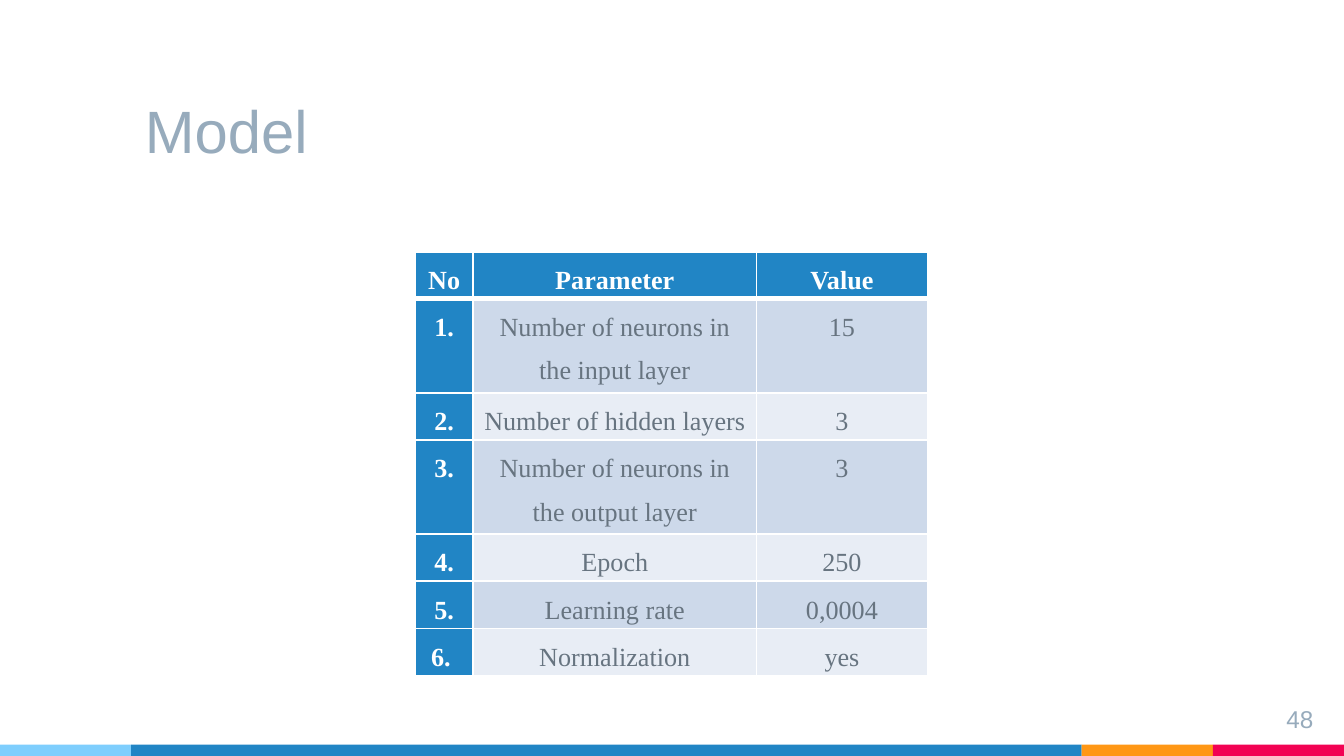
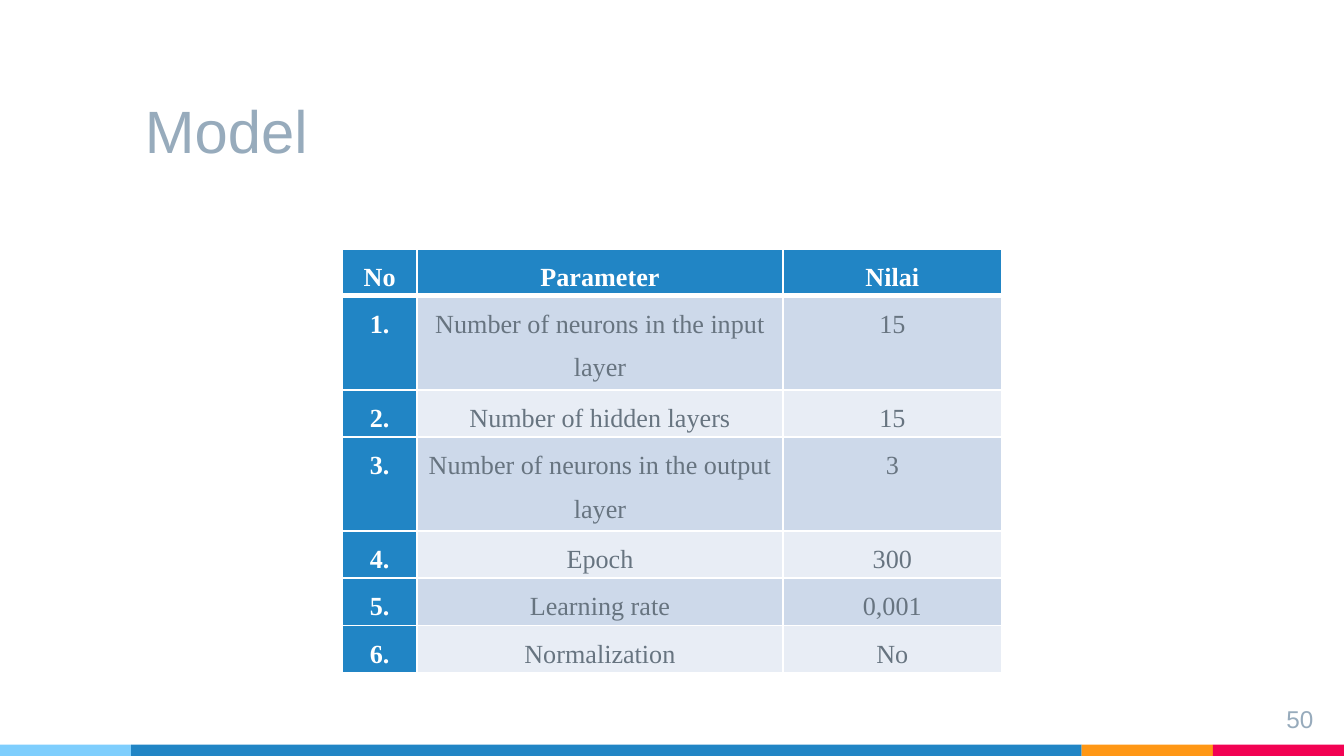
from dataclasses import dataclass

from lxml import etree
from pptx import Presentation
from pptx.dml.color import RGBColor
from pptx.enum.shapes import MSO_SHAPE
from pptx.enum.text import MSO_ANCHOR, PP_ALIGN
from pptx.oxml.ns import qn
from pptx.slide import Slide
from pptx.table import _Cell
from pptx.text.text import _Paragraph
from pptx.util import Emu, Inches, Pt

RECTANGLE = MSO_SHAPE.RECTANGLE
LEFT, CENTER, RIGHT = PP_ALIGN.LEFT, PP_ALIGN.CENTER, PP_ALIGN.RIGHT
TOP, BOTTOM = MSO_ANCHOR.TOP, MSO_ANCHOR.BOTTOM
SLIDE_WIDTH, SLIDE_HEIGHT = Inches(10), Inches(5.625)


@dataclass(frozen=True)
class Theme:
    """Colours, fonts and type sizes of the deck."""
    white: str = "FFFFFF"
    blue: str = "2185C5"
    sky: str = "7ECEFD"
    orange: str = "FF9715"
    red: str = "F20253"
    title: str = "97ABBC"
    body: str = "677480"
    odd_row: str = "CDD9EA"
    even_row: str = "E8EDF5"
    heading_font: str = "Arial"
    table_font: str = "Times New Roman"
    title_size: float = 32
    number_size: float = 13
    table_size: float = 14


@dataclass(frozen=True)
class Area:
    """A box in percent of the slide's width and height."""
    left: float
    top: float
    width: float
    height: float

    def box(self) -> tuple[Emu, Emu, Emu, Emu]:
        """Return left, top, width and height as lengths."""
        return (Emu(int(SLIDE_WIDTH * self.left / 100)),
                Emu(int(SLIDE_HEIGHT * self.top / 100)),
                Emu(int(SLIDE_WIDTH * self.width / 100)),
                Emu(int(SLIDE_HEIGHT * self.height / 100)))


@dataclass(frozen=True)
class TextStyle:
    """Look of one run and its paragraph."""
    font: str
    size: float
    color: str
    bold: bool = False
    align: PP_ALIGN = LEFT


@dataclass(frozen=True)
class ModelSlide:
    """What differs from one model slide to the next."""
    number: str
    left: float
    top: float
    columns: tuple[float, ...]
    row_heights: tuple[float, ...]
    value_heading: str
    values: tuple[str, ...]
    last_label: str


THEME = Theme()
TITLE_STYLE = TextStyle(THEME.heading_font, THEME.title_size, THEME.title)
NUMBER_STYLE = TextStyle(THEME.heading_font, THEME.number_size, THEME.title, align=RIGHT)
HEADING_STYLE = TextStyle(THEME.table_font, THEME.table_size, THEME.white, True, CENTER)
BODY_STYLE = TextStyle(THEME.table_font, THEME.table_size, THEME.body, align=CENTER)

EDGE, MIDDLE = 9.76, 70.72
TITLE_AREA = Area(9.8, 6.93, 70.7, 16.7)
NUMBER_AREA = Area(92.7, 91.4, 6, 6)
BAND_TOP, BAND_HEIGHT = 98.5, 1.5
BANDS = ((THEME.sky, EDGE), (THEME.blue, MIDDLE), (THEME.orange, EDGE), (THEME.red, EDGE))

PARAMETERS = ("Number of neurons in the input layer", "Number of hidden layers",
              "Number of neurons in the output layer", "Epoch", "Learning rate",
              "Normalization")
LINE = 0.32
SLIDES = (
    ModelSlide("48", 30.9, 33.3, (0.43, 2.11, 1.27),
               (LINE, 2 * LINE, LINE, 2 * LINE, LINE, LINE, LINE),
               "Value", ("15", "3", "3", "250", "0,0004", "yes"), "6. "),
    ModelSlide("50", 25.45, 32.9, (0.56, 2.72, 1.63),
               (LINE, 2 * LINE, LINE, 0.66, LINE, LINE, LINE),
               "Nilai", ("15", "15", "3", "300", "0,001", "No"), "6."),
)


def add_run(paragraph: _Paragraph, text: str, style: TextStyle) -> None:
    """Add one styled run and align its paragraph."""
    paragraph.alignment = style.align
    run = paragraph.add_run()
    run.text = text
    run.font.name = style.font
    run.font.size = Pt(style.size)
    run.font.bold = style.bold
    run.font.color.rgb = RGBColor.from_string(style.color)


def add_text(slide: Slide, area: Area, text: str, style: TextStyle,
             anchor: MSO_ANCHOR = TOP) -> None:
    """Add a wrapped text box with even insets."""
    frame = slide.shapes.add_textbox(*area.box()).text_frame
    frame.word_wrap = True
    frame.vertical_anchor = anchor
    frame.margin_left = frame.margin_right = Inches(0.1)
    frame.margin_top = frame.margin_bottom = Inches(0.1)
    add_run(frame.paragraphs[0], text, style)


def add_bands(slide: Slide) -> None:
    """Lay the coloured bands side by side along the bottom edge."""
    left = 0.0
    for color, width in BANDS:
        area = Area(left, BAND_TOP, width, BAND_HEIGHT)
        shape = slide.shapes.add_shape(RECTANGLE, *area.box())
        shape.shadow.inherit = False
        shape.fill.solid()
        shape.fill.fore_color.rgb = RGBColor.from_string(color)
        shape.line.fill.background()
        left += width


def set_borders(cell: _Cell, top: float, bottom: float) -> None:
    """Draw white cell borders, thin at the sides."""
    properties = cell._tc.get_or_add_tcPr()
    widths = (("a:lnL", 1), ("a:lnR", 1), ("a:lnT", top), ("a:lnB", bottom))
    for index, (tag, width) in enumerate(widths):
        line = etree.Element(qn(tag), w=str(int(Pt(width))))
        fill = etree.SubElement(line, qn("a:solidFill"))
        etree.SubElement(fill, qn("a:srgbClr"), val=THEME.white)
        properties.insert(index, line)


def fill_cell(cell: _Cell, text: str, row: int, column: int) -> None:
    """Write and colour a cell by its place in the table."""
    is_heading = row == 0 or column == 0
    band = THEME.odd_row if row % 2 else THEME.even_row
    cell.fill.solid()
    cell.fill.fore_color.rgb = RGBColor.from_string(THEME.blue if is_heading else band)
    cell.margin_left = cell.margin_right = Inches(0.07)
    cell.margin_top = cell.margin_bottom = 0
    paragraph = cell.text_frame.paragraphs[0]
    paragraph.line_spacing = 1.5
    add_run(paragraph, text, HEADING_STYLE if is_heading else BODY_STYLE)
    set_borders(cell, top=3 if row == 1 else 1, bottom=3 if row == 0 else 1)


def add_parameter_table(slide: Slide, model: ModelSlide) -> None:
    """Add the numbered table of model parameters."""
    labels = [f"{number}." for number in range(1, len(PARAMETERS))] + [model.last_label]
    rows = [("No", "Parameter", model.value_heading), *zip(labels, PARAMETERS, model.values)]
    area = Area(model.left, model.top, sum(model.columns) * 10, 51)
    table = slide.shapes.add_table(len(rows), len(model.columns), *area.box()).table
    table.horz_banding = False
    for column, width in zip(table.columns, model.columns):
        column.width = Inches(width)
    for table_row, height in zip(table.rows, model.row_heights):
        table_row.height = Inches(height)
    for row, texts in enumerate(rows):
        for column, text in enumerate(texts):
            fill_cell(table.cell(row, column), text, row, column)


def main() -> None:
    """Build and save the deck."""
    presentation = Presentation()
    presentation.slide_width, presentation.slide_height = SLIDE_WIDTH, SLIDE_HEIGHT
    for model in SLIDES:
        slide = presentation.slides.add_slide(presentation.slide_layouts[6])
        add_bands(slide)
        add_text(slide, TITLE_AREA, "Model", TITLE_STYLE, BOTTOM)
        add_text(slide, NUMBER_AREA, model.number, NUMBER_STYLE)
        add_parameter_table(slide, model)
    presentation.save("out.pptx")


main()
